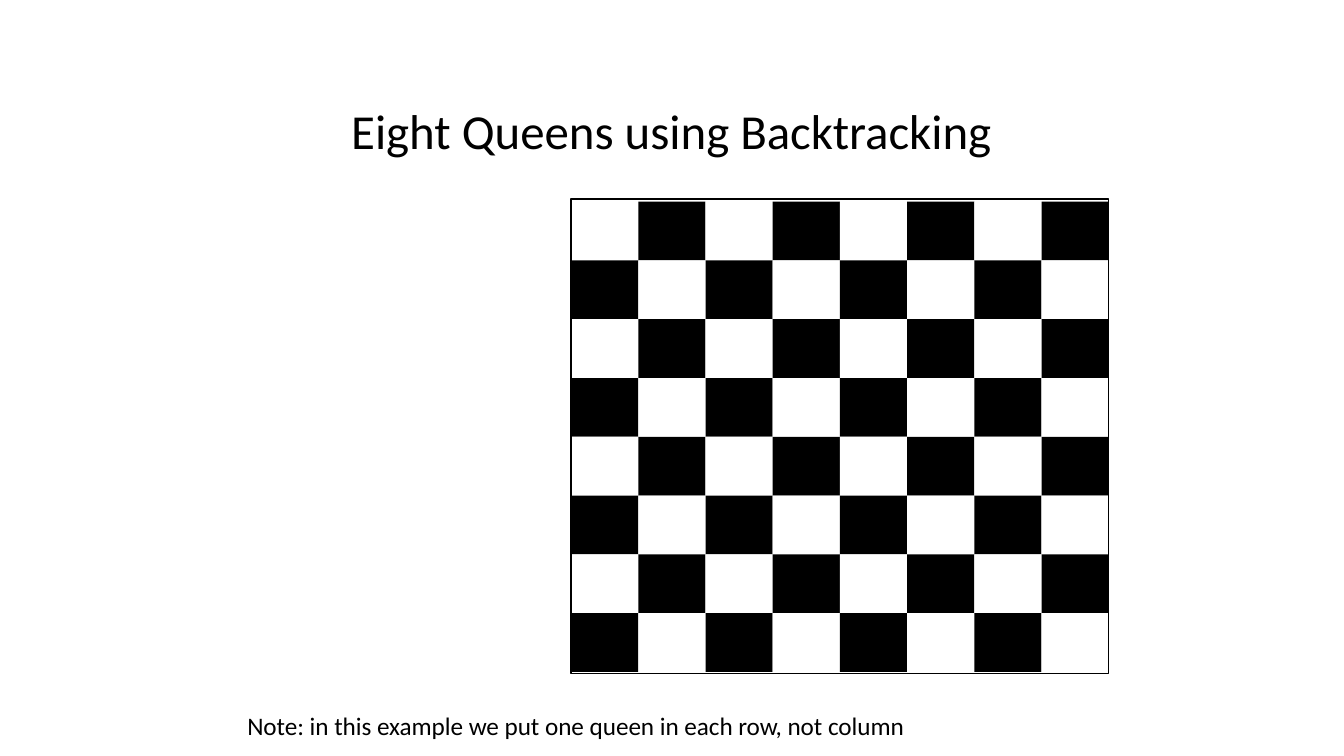
from pptx import Presentation
from pptx.dml.color import RGBColor
from pptx.enum.shapes import MSO_SHAPE
from pptx.enum.text import MSO_ANCHOR, MSO_AUTO_SIZE, PP_ALIGN
from pptx.util import Inches, Pt

RECT = MSO_SHAPE.RECTANGLE
MIDDLE = MSO_ANCHOR.MIDDLE
GROW = MSO_AUTO_SIZE.SHAPE_TO_FIT_TEXT
NO_FIT = MSO_AUTO_SIZE.NONE
CENTER = PP_ALIGN.CENTER
LEFT = PP_ALIGN.LEFT
COLORS = {"black": "000000", "white": "FFFFFF"}
FONT = "Calibri"
WIDTH = 10
HEIGHT = WIDTH * 9 / 16
SIZE = 8
BOARD_X, BOARD_Y = 4.25, 1.5
CELL_W, CELL_H = 4 / SIZE, 3.5 / SIZE


def color(name):
    """Return the named colour."""
    return RGBColor.from_string(COLORS[name])


def write(frame, text, size, align):
    """Fill a text frame with one styled line."""
    frame.text = text
    line = frame.paragraphs[0]
    line.alignment = align
    font = line.runs[0].font
    font.name = FONT
    font.size = Pt(size)
    font.color.rgb = color("black")


def add_title(slide, text):
    """Place and fill the title."""
    title = slide.shapes.title
    title.left, title.top = Inches(1.87), Inches(0.53)
    title.width, title.height = Inches(6.25), Inches(0.88)
    frame = title.text_frame
    write(frame, text, 26.2, CENTER)
    frame.vertical_anchor = MIDDLE
    frame.auto_size = NO_FIT


def add_rect(shapes, x, y, w, h):
    """Add a plain rectangle without a shadow."""
    rect = shapes.add_shape(RECT, Inches(x), Inches(y), Inches(w), Inches(h))
    rect.shadow.inherit = False
    return rect


def add_board(slide):
    """Draw the chequered squares and their frame as one group."""
    shapes = slide.shapes.add_group_shape().shapes
    for row in range(SIZE):
        for col in range(SIZE):
            x, y = BOARD_X + col * CELL_W, BOARD_Y + row * CELL_H
            square = add_rect(shapes, x, y, CELL_W, CELL_H)
            square.fill.solid()
            shade = "black" if (row + col) % 2 else "white"
            square.fill.fore_color.rgb = color(shade)
            square.line.fill.background()
    frame = add_rect(shapes, BOARD_X, 1.48, SIZE * CELL_W, 3.53)
    frame.fill.background()
    frame.line.color.rgb = color("black")
    frame.line.width = Pt(0.75)


def add_note(slide, text):
    """Add the note below the board."""
    box = slide.shapes.add_textbox(
        Inches(1.75), Inches(5.24), Inches(5.16), Inches(0.33))
    frame = box.text_frame
    write(frame, text, 13.5, LEFT)
    frame.margin_left = frame.margin_right = Inches(0.09)
    frame.word_wrap = False
    frame.auto_size = GROW


def main():
    """Build and save the slide."""
    deck = Presentation()
    deck.slide_width, deck.slide_height = Inches(WIDTH), Inches(HEIGHT)
    slide = deck.slides.add_slide(deck.slide_layouts[5])
    add_title(slide, "Eight Queens using Backtracking")
    add_board(slide)
    add_note(slide, "Note: in this example we put one queen in each row, "
                    "not column")
    deck.save("out.pptx")


if __name__ == "__main__":
    main()
